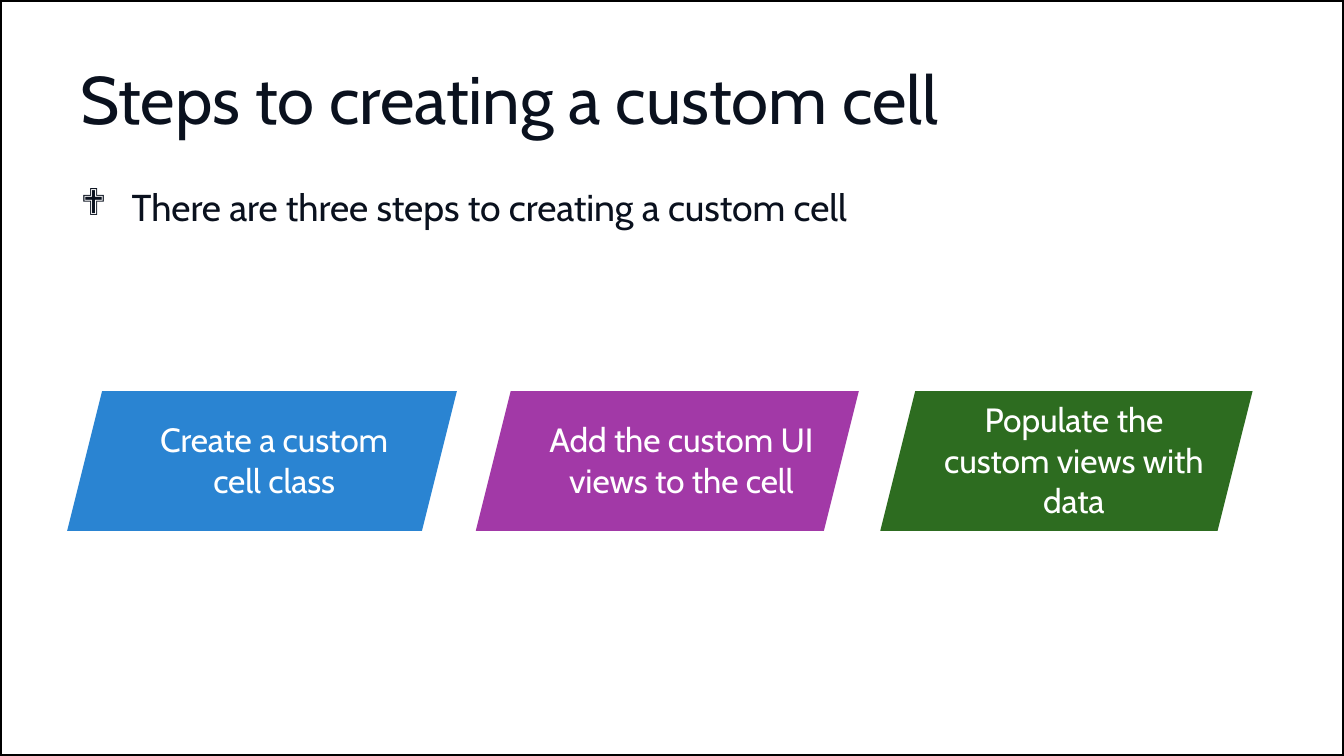
from dataclasses import dataclass

from lxml import etree
from pptx import Presentation
from pptx import util as u
from pptx.dml.color import RGBColor
from pptx.enum import shapes, text
from pptx.oxml.ns import qn

COLORS = {
    "ink": "0A111E",
    "white": "FFFFFF",
    "black": "000000",
    "blue": "2A84D2",
    "purple": "A239A7",
    "green": "2D6C20",
}
FONT = "Cabin"
STEP_TOP, STEP_HEIGHT = 2.91, 1.04
PAGE_WIDTH = 10
PAGE_HEIGHT = PAGE_WIDTH * 9 / 16


@dataclass
class Box:
    left: float
    top: float
    width: float
    height: float

    def lengths(self) -> list:
        return [u.Inches(v) for v in (self.left, self.top, self.width, self.height)]


@dataclass
class Step:
    left: float
    width: float
    color: str
    label: Box
    lines: list[str]


STEPS = [
    Step(0.5, 2.9, "blue", Box(1.08, 3.12, 1.92, 0.61), ["Create a custom", "cell class"]),
    Step(3.54, 2.85, "purple", Box(3.97, 3.12, 2.2, 0.61),
         ["Add the custom UI", "views to the cell"]),
    Step(6.55, 2.77, "green", Box(6.98, 2.97, 2.02, 0.91),
         ["Populate the custom views with data"]),
]


def rgb(name: str) -> RGBColor:
    return RGBColor.from_string(COLORS[name])


def add_text(slide, box: Box, lines: list[str], size: float, color: str,
             align=text.PP_ALIGN.LEFT, bullet: str = ""):
    frame = slide.shapes.add_textbox(*box.lengths()).text_frame
    frame.word_wrap = True
    frame.margin_left = frame.margin_right = frame.margin_top = frame.margin_bottom = 0
    frame.text = "\n".join(lines)
    for paragraph in frame.paragraphs:
        if bullet:
            add_bullet(paragraph, bullet)
        paragraph.alignment = align
        paragraph.font.name = FONT
        paragraph.font.size = u.Pt(size)
        paragraph.font.color.rgb = rgb(color)
        for run in paragraph.runs:
            run.font._element.set("spc", "-5")


def add_bullet(paragraph, symbol: str):
    properties = paragraph._p.get_or_add_pPr()
    properties.set("marL", str(u.Inches(0.39)))
    properties.set("indent", str(u.Inches(-0.38)))
    etree.SubElement(properties, qn("a:buFont"), typeface="Wingdings")
    etree.SubElement(properties, qn("a:buChar"), char=symbol)
    tabs = etree.SubElement(properties, qn("a:tabLst"))
    etree.SubElement(tabs, qn("a:tab"), pos=str(u.Inches(0.39)), algn="l")


def add_step(slide, step: Step):
    panel = slide.shapes.add_shape(
        shapes.MSO_SHAPE.PARALLELOGRAM,
        *Box(step.left, STEP_TOP, step.width, STEP_HEIGHT).lengths())
    panel.shadow.inherit = False
    panel.fill.solid()
    panel.fill.fore_color.rgb = rgb(step.color)
    panel.line.fill.background()
    add_text(slide, step.label, step.lines, 18, "white", text.PP_ALIGN.CENTER)


def add_border(slide, box: Box):
    border = slide.shapes.add_shape(shapes.MSO_SHAPE.RECTANGLE, *box.lengths())
    border.shadow.inherit = False
    border.fill.background()
    border.line.color.rgb = rgb("black")
    border.line.width = u.Pt(2)


def main():
    """Build the slide on the three steps to a custom cell."""
    deck = Presentation()
    page = Box(0, 0, PAGE_WIDTH, PAGE_HEIGHT)
    deck.slide_width, deck.slide_height = u.Inches(page.width), u.Inches(page.height)
    slide = deck.slides.add_slide(deck.slide_layouts[6])
    add_text(slide, Box(0.59, 1.37, 6.5, 0.34),
             ["There are three steps to creating a custom cell"], 20, "ink", bullet="❖")
    add_text(slide, Box(0.6, 0.43, 9.02, 0.6), ["Steps to creating a custom cell"], 36, "ink")
    for step in STEPS:
        add_step(slide, step)
    add_border(slide, page)
    deck.save("out.pptx")


if __name__ == "__main__":
    main()
